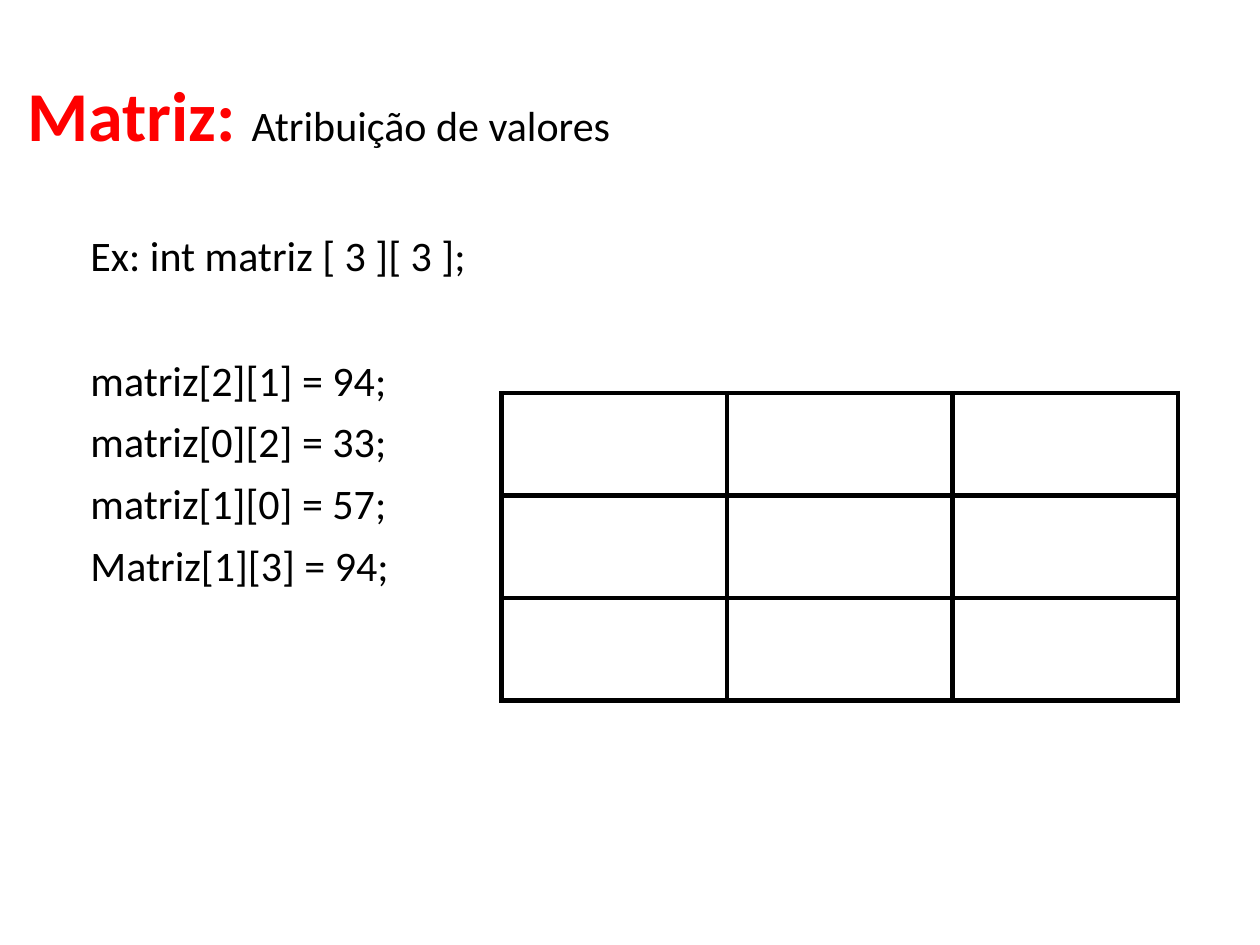
from lxml import etree
from pptx import Presentation
from pptx import util as u
from pptx.dml.color import RGBColor
from pptx.enum import text
from pptx.oxml.ns import qn

ASSIGNMENTS = [
    "matriz[2][1] = 94;",
    "matriz[0][2] = 33;",
    "matriz[1][0] = 57;",
    "Matriz[1][3] = 94;",
]


def color(value):
    return RGBColor.from_string(value)


class Board:
    """Style and current slide; lengths are in columns and rows of the grid."""

    FONT, INK, ACCENT = "Calibri", "000000", "FF0000"
    CELL = u.Inches(0.01)  # 1000 columns by 750 rows

    def __init__(self, deck):
        deck.slide_width, deck.slide_height = 1000 * self.CELL, 750 * self.CELL
        self.slide = deck.slides.add_slide(deck.slide_layouts[6])

    def place(self, *lengths):
        return [u.Emu(round(length * self.CELL)) for length in lengths]

    def text_box(self, left, top, width, height):
        box = self.slide.shapes.add_textbox(*self.place(left, top, width, height))
        box.text_frame.word_wrap = True
        box.text_frame.vertical_anchor = text.MSO_ANCHOR.TOP
        return box.text_frame

    def style(self, font, size, ink=INK, bold=False):
        font.name, font.size, font.bold = self.FONT, u.Pt(size), bold
        font.color.rgb = color(ink)

    def indent(self, para, margin, hanging, before):
        para.space_before = u.Pt(before)
        margin, hanging = self.place(margin, hanging)
        properties = para._p.get_or_add_pPr()
        properties.set("marL", str(margin))
        properties.set("indent", str(-hanging))

    def heading(self, frame, label, subject):
        para = frame.paragraphs[0]
        self.indent(para, 38, 38, 8)
        for words, size, ink, bold in (
            (label, 40, self.ACCENT, True),
            (subject, 24, self.INK, False),
        ):
            span = para.add_run()
            span.text = words
            self.style(span.font, size, ink, bold)

    def code_line(self, frame, words, before=6.5):
        para = frame.add_paragraph()
        para.text = words
        para.level = 1
        self.indent(para, 81, 31, before)
        self.style(para.font, 24)

    def matrix(self, left, top, width, height, count):
        area = self.place(left, top, width, height)
        table = self.slide.shapes.add_table(count, count, *area).table
        table.first_row = table.horz_banding = False
        for cell in table.iter_cells():
            self.border(cell)
            cell.fill.background()

    def border(self, cell, points=3):
        properties = cell._tc.get_or_add_tcPr()
        for side in ("lnL", "lnR", "lnT", "lnB"):
            line = etree.SubElement(properties, qn(f"a:{side}"), w=str(u.Pt(points)))
            fill = etree.SubElement(line, qn("a:solidFill"))
            etree.SubElement(fill, qn("a:srgbClr"), val=self.INK)


def main():
    deck = Presentation()
    board = Board(deck)

    # Heading, declaration and assignments
    frame = board.text_box(12, 52, 976, 605)
    board.heading(frame, "Matriz: ", "Atribuição de valores")
    board.code_line(frame, "Ex: int matriz [ 3 ][ 3 ];", before=42)
    for number, words in enumerate(ASSIGNMENTS):
        board.code_line(frame, words, before=6.5 if number else 42.5)

    # Empty 3 x 3 matrix
    board.matrix(398, 312, 537, 244, 3)

    deck.save("out.pptx")


if __name__ == "__main__":
    main()
